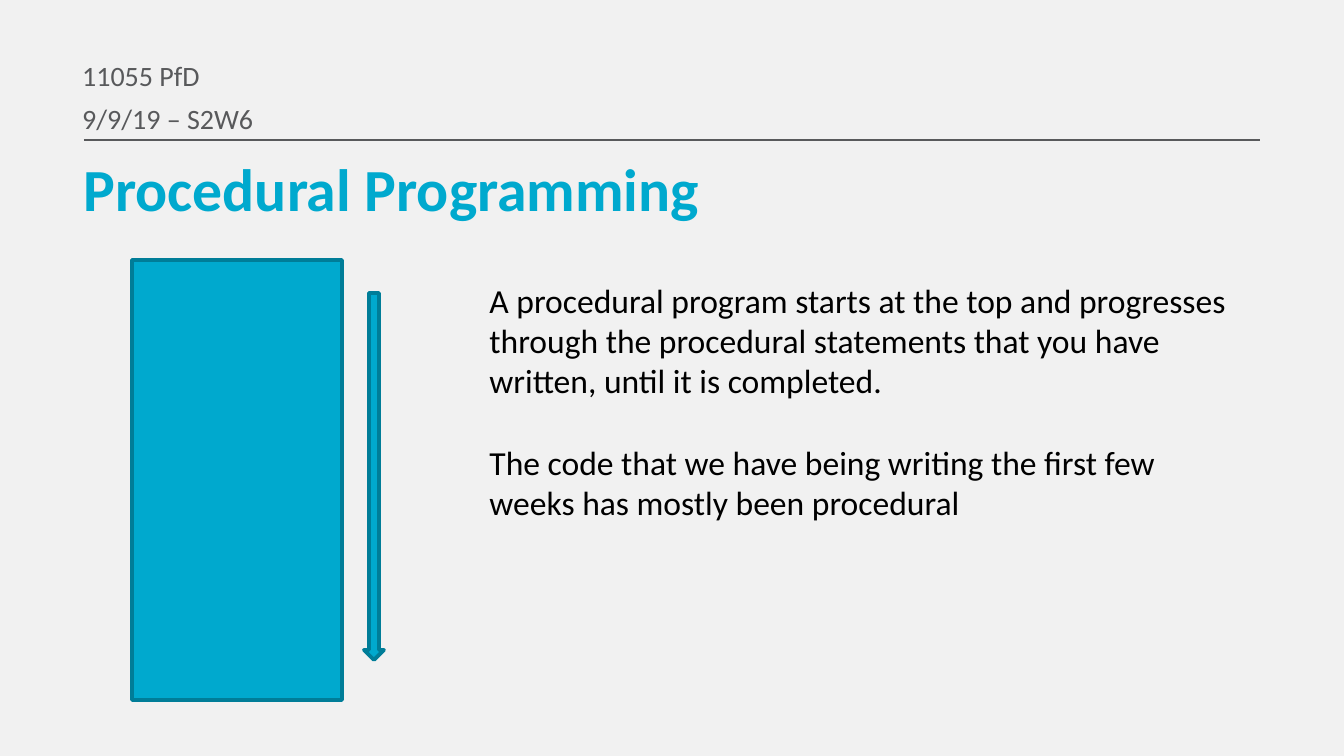
import pptx
import pptx.util
import pptx.dml.color
import pptx.enum.shapes
import pptx.enum.text
import pptx.oxml.ns
import lxml.etree

PIXEL = 914400 / 134.4
FONT = "Calibri"
GREY, CYAN, TEAL, BLACK, PALE = "58595B", "00A9CE", "007D98", "000000", "F1F1F1"
SHAPES = pptx.enum.shapes.MSO_SHAPE

TITLE = "Procedural Programming"
BODY = [
    "A procedural program starts at the top and progresses through the "
    "procedural statements that you have written, until it is completed.",
    "The code that we have being writing the first few weeks has mostly "
    "been procedural",
]
HEADERS = [("11055 PfD", (69, 52, 938, 34)), ("9/9/19 – S2W6", (69, 95, 938, 34))]
DIAGRAM = [(SHAPES.RECTANGLE, (132, 260, 210, 440)),
           (SHAPES.DOWN_ARROW, (364, 293, 20, 367))]

HEADER_STYLE = {"size": pptx.util.Pt(15), "name": FONT}
TITLE_STYLE = {"size": pptx.util.Pt(32), "name": FONT, "bold": True}
BODY_STYLE = {"size": pptx.util.Pt(18), "name": FONT}


def px(*lengths):
    """Turn pixels into EMU."""
    return [pptx.util.Emu(round(length * PIXEL)) for length in lengths]


def color(value):
    """Turn a hex string into a colour."""
    return pptx.dml.color.RGBColor.from_string(value)


def place(box, area):
    """Move and size a box."""
    for name, value in zip(("left", "top", "width", "height"), px(*area)):
        setattr(box, name, value)


def write(box, texts, style, ink, line_spacing=1.0, gap=0):
    """Fill a box with left-aligned, unbulleted paragraphs."""
    frame = box.text_frame
    frame.word_wrap = True
    frame.auto_size = pptx.enum.text.MSO_AUTO_SIZE.NONE
    frame.vertical_anchor = pptx.enum.text.MSO_ANCHOR.TOP
    for index, text in enumerate(texts):
        para = frame.add_paragraph() if index else frame.paragraphs[0]
        layout = {"alignment": pptx.enum.text.PP_ALIGN.LEFT,
                  "line_spacing": line_spacing,
                  "space_before": pptx.util.Pt(gap if index else 0)}
        for name, value in layout.items():
            setattr(para, name, value)
        settings = para._p.get_or_add_pPr()
        settings.set("marL", "0")
        settings.set("indent", "0")
        lxml.etree.SubElement(settings, pptx.oxml.ns.qn("a:buNone"))
        span = para.add_run()
        span.text = text
        for name, value in style.items():
            setattr(span.font, name, value)
        span.font.color.rgb = color(ink)


def outline(line, ink, width):
    """Set the colour and width of a line."""
    line.color.rgb = color(ink)
    line.width = pptx.util.Pt(width)


deck = pptx.Presentation()
deck.slide_width, deck.slide_height = px(1344, 756)
page = deck.slides.add_slide(deck.slide_layouts[1])
page.background.fill.solid()
page.background.fill.fore_color.rgb = color(PALE)

rule = page.shapes.add_connector(
    pptx.enum.shapes.MSO_CONNECTOR.STRAIGHT, *px(84, 140, 1260, 140))
outline(rule.line, GREY, 0.75)
lxml.etree.SubElement(rule._element.spPr, pptx.oxml.ns.qn("a:effectLst"))

for text, area in HEADERS:
    write(page.shapes.add_textbox(*px(*area)), [text], HEADER_STYLE, GREY)

title, body = page.placeholders
place(title, (70, 165, 1191, 57))
write(title, [TITLE], TITLE_STYLE, CYAN, line_spacing=0.7)
place(body, (476, 273, 769, 258))
write(body, BODY, BODY_STYLE, BLACK, gap=22)

for kind, area in DIAGRAM:
    shape = page.shapes.add_shape(kind, *px(*area))
    shape.shadow.inherit = False
    shape.fill.solid()
    shape.fill.fore_color.rgb = color(CYAN)
    outline(shape.line, TEAL, 2)

deck.save("out.pptx")
